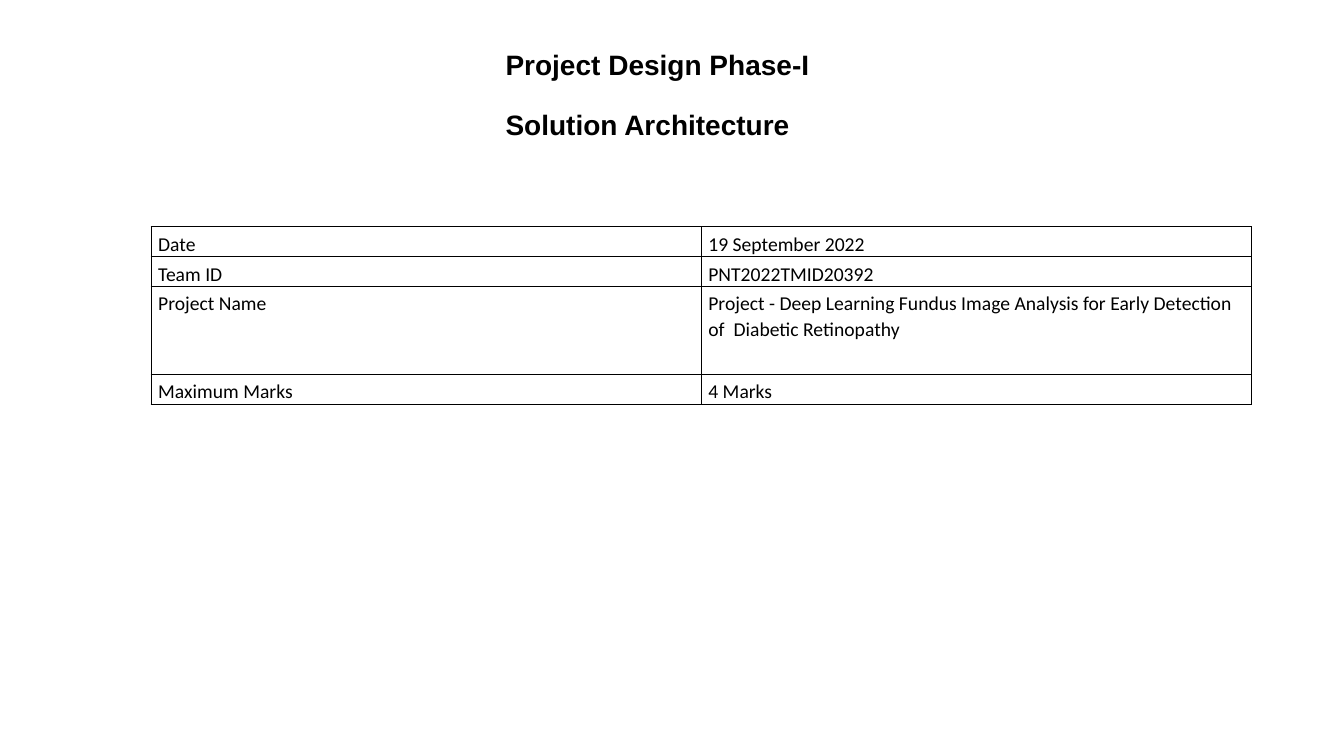
from lxml import etree
from pptx import Presentation
from pptx.dml.color import RGBColor
from pptx.enum.text import MSO_ANCHOR
from pptx.oxml.ns import qn
from pptx.util import Pt

MIDDLE = MSO_ANCHOR.MIDDLE
COLORS = {"ink": "000000"}
HEADINGS = ["Project Design Phase-I", "Solution Architecture"]
DETAILS = [
    ("Date", "19 September 2022", 21),
    ("Team ID", "PNT2022TMID20392", 21),
    ("Project Name", "Project - Deep Learning Fundus Image Analysis "
     "for Early Detection of  Diabetic Retinopathy", 63),
    ("Maximum Marks", "4 Marks", 21),
]


def write(tf, text, font, size, bold=False):
    """Set the text of a frame and format its run."""
    tf.text = text
    p = tf.paragraphs[0]
    r = p.runs[0]
    r.font.name = font
    r.font.size = Pt(size)
    r.font.bold = bold
    r.font.color.rgb = RGBColor.from_string(COLORS["ink"])
    return p


def add_borders(cell, width):
    """Draw a solid line on all four sides of a cell."""
    tc_pr = cell._tc.get_or_add_tcPr()
    for i, side in enumerate(("a:lnL", "a:lnR", "a:lnT", "a:lnB")):
        ln = etree.Element(qn(side), w=str(Pt(width)))
        fill = etree.SubElement(ln, qn("a:solidFill"))
        etree.SubElement(fill, qn("a:srgbClr"), val=COLORS["ink"])
        tc_pr.insert(i, ln)


def add_headings(s, left, top, width, height, pitch):
    """Stack the headings at an equal pitch."""
    for i, heading in enumerate(HEADINGS):
        sp = s.shapes.add_textbox(Pt(left), Pt(top + i * pitch), Pt(width), Pt(height))
        tf = sp.text_frame
        tf.word_wrap = True
        tf.vertical_anchor = MIDDLE
        write(tf, heading, "Arial", 20, True)


def add_details(s, left, top, width):
    """Add the bordered table of project details."""
    height = sum(row[-1] for row in DETAILS)
    table = s.shapes.add_table(len(DETAILS), 2, Pt(left), Pt(top), Pt(width), Pt(height)).table
    table.first_row = False
    table.horz_banding = False
    for column in table.columns:
        column.width = Pt(width / 2)
    for row, (label, value, row_height) in zip(table.rows, DETAILS):
        row.height = Pt(row_height)
        for cell, text in zip(row.cells, (label, value)):
            cell.margin_left = Pt(5)
            cell.margin_top = Pt(3)
            cell.margin_right = Pt(5.5)
            cell.margin_bottom = Pt(0)
            p = write(cell.text_frame, text, "Calibri", 14)
            p.line_spacing = 1.07
            cell.fill.background()
            add_borders(cell, 1)


prs = Presentation()
prs.slide_width = Pt(960)
prs.slide_height = Pt(540)
s = prs.slides.add_slide(prs.slide_layouts[6])
add_details(s, 108, 162, 786)
add_headings(s, 354, 30.5, 254, 31.5, 42.5)
prs.save("out.pptx")
